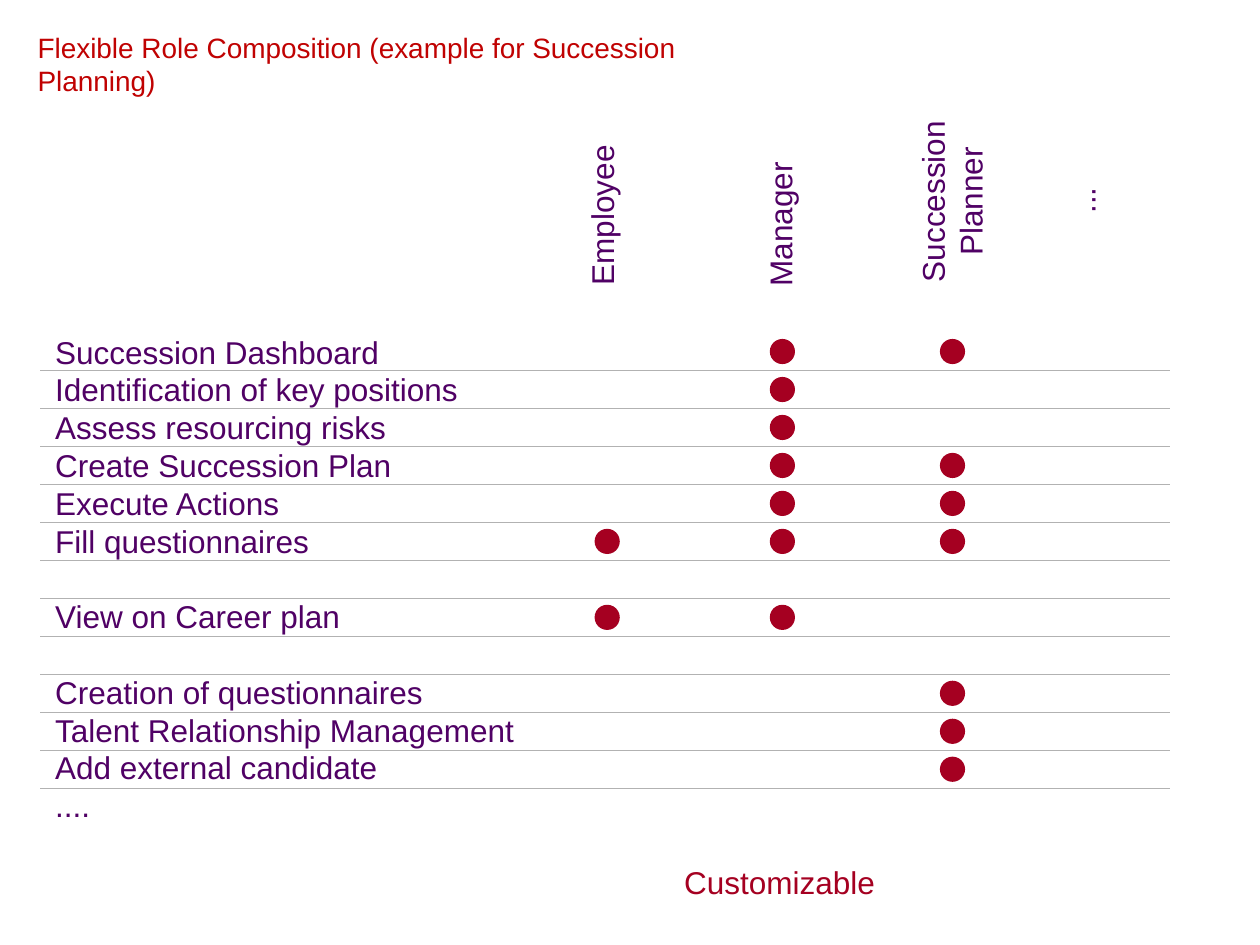
from pptx import Presentation
from pptx.dml.color import RGBColor
from pptx.enum.shapes import MSO_CONNECTOR, MSO_SHAPE
from pptx.enum.text import MSO_ANCHOR, MSO_AUTO_SIZE, PP_ALIGN
from pptx.oxml.ns import qn
from pptx.util import Pt
from lxml.etree import SubElement

COLORS = {"title": "C00202", "label": "500165", "accent": "A50021", "rule": "B2B2B2"}
LINE_HEIGHT = 1.2
ROW_PITCH = 21.7

# Role heading, (left, top, width, height) before rotation, alignment
ROLES = [
    ("Employee", (295.6, 108.7, 96.3, 28.8), PP_ALIGN.CENTER),
    ("Manager", (402.2, 112.8, 87, 28.8), PP_ALIGN.LEFT),
    ("Succession\nPlanner", (489.3, 90, 108.6, 50.4), PP_ALIGN.CENTER),
    ("...", (603.1, 100.1, 31.5, 28.8), PP_ALIGN.CENTER),
]
DOT_LEFTS = {"Employee": 339.8, "Manager": 439.9, "Planner": 537.1}

# Activity and the roles that hold it; None leaves a row free
ACTIVITIES = [
    ("Succession Dashboard", ["Manager", "Planner"]),
    ("Identification of key positions", ["Manager"]),
    ("Assess resourcing risks", ["Manager"]),
    ("Create Succession Plan", ["Manager", "Planner"]),
    ("Execute Actions", ["Manager", "Planner"]),
    ("Fill questionnaires", ["Employee", "Manager", "Planner"]),
    None,
    ("View on Career plan", ["Employee", "Manager"]),
    None,
    ("Creation of questionnaires", ["Planner"]),
    ("Talent Relationship Management", ["Planner"]),
    ("Add external candidate", ["Planner"]),
    ("....", []),
]


def rgb(name):
    return RGBColor.from_string(COLORS[name])


def add_text(s, box, lines, color, size=18, align=PP_ALIGN.LEFT, wrap=False):
    """Add a text box; a None line becomes space before the next line."""
    sp = s.shapes.add_textbox(*map(Pt, box))
    tf = sp.text_frame
    tf.word_wrap = wrap
    tf.auto_size = MSO_AUTO_SIZE.NONE if wrap else MSO_AUTO_SIZE.SHAPE_TO_FIT_TEXT
    tf.vertical_anchor = MSO_ANCHOR.TOP
    height = Pt(size * LINE_HEIGHT)
    p, gap = None, False
    for line in lines:
        if line is None:
            gap = True
            continue
        p = tf.add_paragraph() if p is not None else tf.paragraphs[0]
        p.text = line
        p.alignment = align
        p.line_spacing = height
        if gap:
            p.space_before = height
            gap = False
        p.font.name = "Arial"
        p.font.size = Pt(size)
        p.font.color.rgb = rgb(color)
    return sp


def add_rule(s, left, top, width):
    line = s.shapes.add_connector(
        MSO_CONNECTOR.STRAIGHT, Pt(left), Pt(top), Pt(left + width), Pt(top))
    line.line.color.rgb = rgb("rule")
    line.line.width = Pt(0.75)
    SubElement(line._element.spPr, qn("a:effectLst"))


def add_dot(s, left, top, size=14.4):
    dot = s.shapes.add_shape(MSO_SHAPE.OVAL, Pt(left), Pt(top), Pt(size), Pt(size))
    dot.shadow.inherit = False
    dot.fill.solid()
    dot.fill.fore_color.rgb = rgb("accent")
    dot.line.fill.background()


def add_role_headings(s):
    for name, box, align in ROLES:
        add_text(s, box, name.split("\n"), "label", align=align).rotation = 270


def add_activity_matrix(s, left, top, width, height):
    labels = [row and row[0] for row in ACTIVITIES]
    add_text(s, (left + 1.5, top, 280, height), labels, "label")
    for i in range(len(ACTIVITIES) - 1):
        add_rule(s, left, top + 25.2 + i * ROW_PITCH, width)
    for i, row in enumerate(ACTIVITIES):
        for role in row[1] if row else []:
            add_dot(s, DOT_LEFTS[role], top + 7.2 + i * ROW_PITCH)


def main():
    prs = Presentation()
    prs.slide_width, prs.slide_height = Pt(720), Pt(540)
    s = prs.slides.add_slide(prs.slide_layouts[6])
    add_text(s, (14.4, 13.7, 435.6, 31),
             ["Flexible Role Composition (example for Succession Planning)"],
             "title", size=16, wrap=True)
    add_role_headings(s)
    add_activity_matrix(s, 23, 186.5, 645.3, 288.7)
    add_text(s, (383.8, 489.6, 126, 28.8), ["Customizable"], "accent")
    prs.save("out.pptx")


if __name__ == "__main__":
    main()
